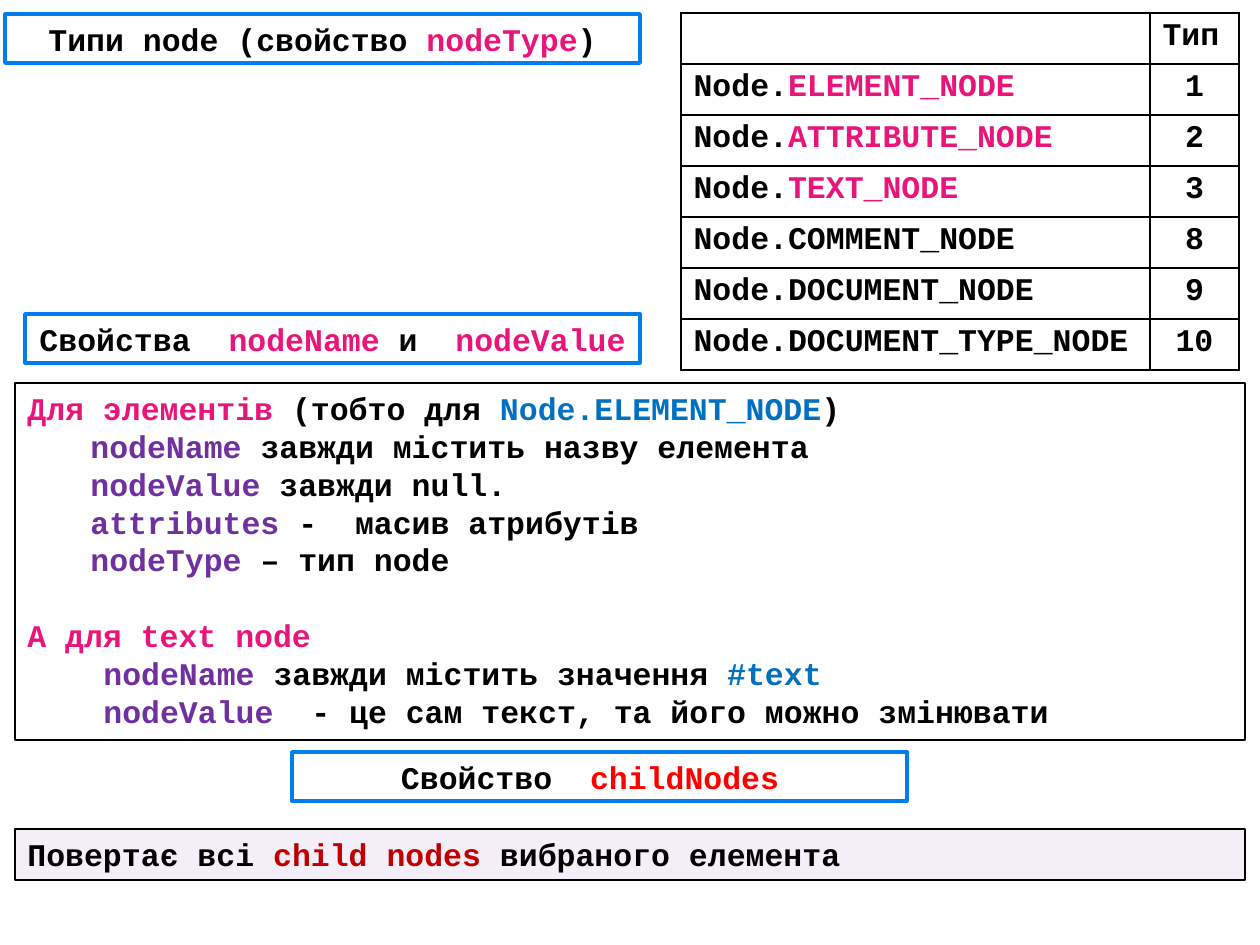
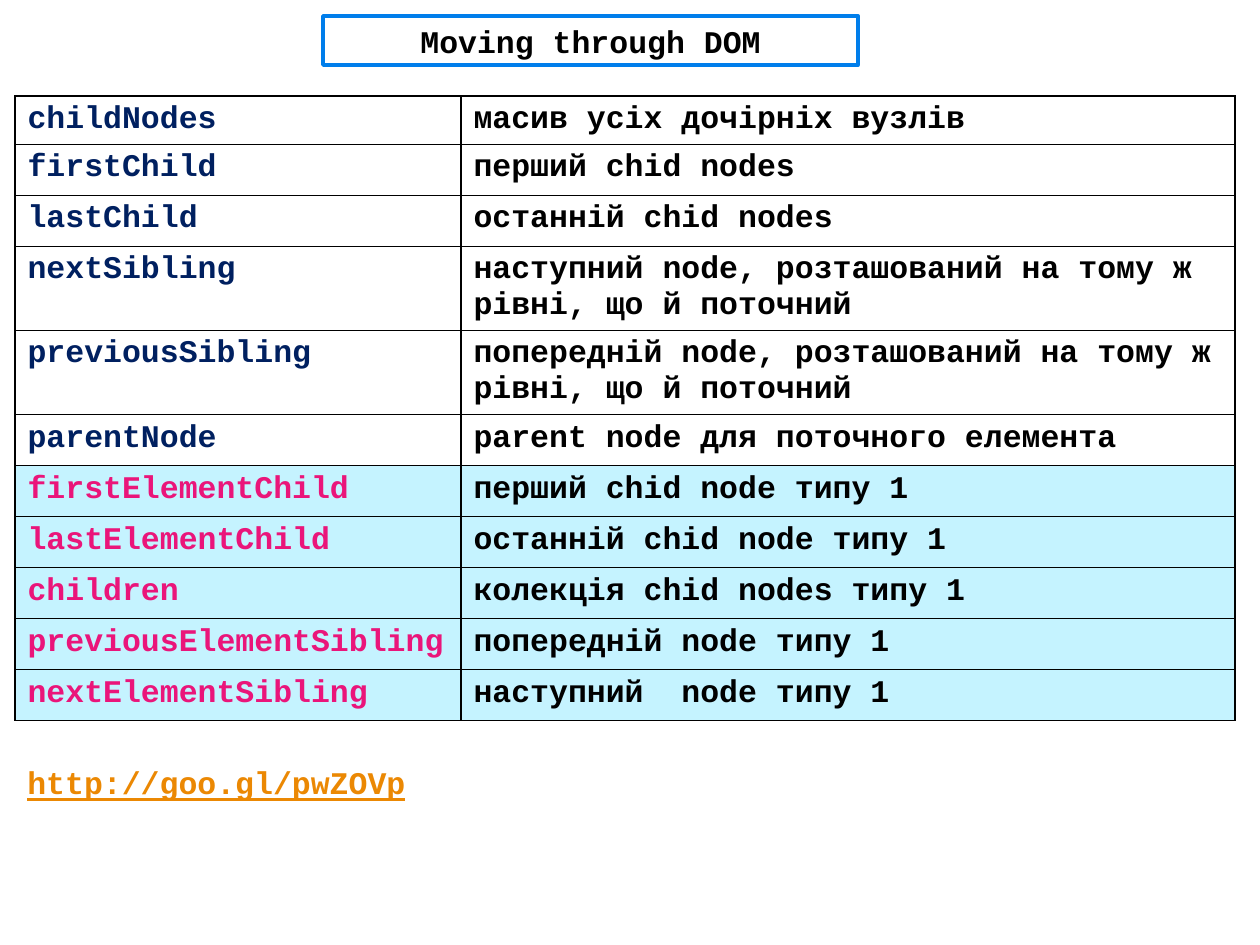
from lxml.etree import SubElement
from pptx import Presentation
from pptx.dml.color import RGBColor
from pptx.enum.shapes import MSO_SHAPE as Shape
from pptx.enum.text import MSO_ANCHOR as Anchor, MSO_AUTO_SIZE as AutoSize, PP_ALIGN as Align
from pptx.oxml import parse_xml
from pptx.oxml.ns import nsdecls, qn
from pptx.util import Emu, Pt

PX = 914400 // 126
FONT, FONT_SIZE, LINE_PITCH = "Courier New", Pt(18), Pt(21.6)

BLACK = RGBColor(0x00, 0x00, 0x00)
WHITE = RGBColor(0xFF, 0xFF, 0xFF)
PINK = RGBColor(0xEA, 0x15, 0x7A)
PURPLE = RGBColor(0x70, 0x30, 0xA0)
BLUE = RGBColor(0x00, 0x70, 0xC0)
FRAME_BLUE = RGBColor(0x00, 0x7E, 0xEB)
NAVY = RGBColor(0x00, 0x20, 0x60)
RED = RGBColor(0xFF, 0x00, 0x00)
DARK_RED = RGBColor(0xC0, 0x00, 0x00)
ORANGE = RGBColor(0xEB, 0x88, 0x03)
PALE_CYAN = RGBColor(0xC5, 0xF3, 0xFF)

# A line of text is a list of (text, colour) spans.
TYPES_TITLE = [("Типи node (свойство ", BLACK), ("nodeType", PINK), (")", BLACK)]
VALUES_HEADING = [("Свойства  ", BLACK), ("nodeName ", PINK), ("и ", BLACK), (" nodeValue", PINK)]
CHILDREN_HEADING = [("Свойство  ", BLACK), ("childNodes ", RED)]
CHILDREN_NOTE = [("Повертає всі ", BLACK), ("child nodes ", DARK_RED), ("вибраного елемента", BLACK)]
MOVING_TITLE = [("Moving through DOM", BLACK)]
SOURCE_LINK = [("http://goo.gl/pwZOVp", ORANGE)]

# (node type, number, colour)
NODE_TYPES = [
    ("ELEMENT_NODE", 1, PINK),
    ("ATTRIBUTE_NODE", 2, PINK),
    ("TEXT_NODE", 3, PINK),
    ("COMMENT_NODE", 8, BLACK),
    ("DOCUMENT_NODE", 9, BLACK),
    ("DOCUMENT_TYPE_NODE", 10, BLACK),
]

# (heading, indent of its items in px, items)
NODE_RULES = [
    ([("Для элементів ", PINK), ("(тобто для ", BLACK), ("Node.ELEMENT_NODE", BLUE), (")", BLACK)], 63, [
        [("nodeName ", PURPLE), ("завжди містить назву елемента", BLACK)],
        [("nodeValue ", PURPLE), ("завжди null.", BLACK)],
        [("attributes", PURPLE), (" -  масив атрибутів", BLACK)],
        [("nodeType ", PURPLE), ("– тип node", BLACK)],
    ]),
    ([("А для text node", PINK)], 76, [
        [("nodeName ", PURPLE), ("завжди містить значення ", BLACK), ("#text", BLUE)],
        [("nodeValue ", PURPLE), (" - це сам текcт, та його можно змінювати", BLACK)],
    ]),
]

NODE_LINKS = [
    ("childNodes", "масив усіх дочірніх вузлів"),
    ("firstChild", "перший chid nodes"),
    ("lastChild", "останній chid nodes"),
    ("nextSibling", "наступний node, розташований на тому ж рівні, що й поточний"),
    ("previousSibling", "попередній node, розташований на тому ж рівні, що й поточний"),
    ("parentNode", "parent node для поточного елемента"),
]
ELEMENT_LINKS = [
    ("firstElementChild", "перший chid node типу 1"),
    ("lastElementChild", "останній chid node типу 1"),
    ("children", "колекція chid nodes типу 1"),
    ("previousElementSibling", "попередній node типу 1"),
    ("nextElementSibling", "наступний  node типу 1"),
]

FIRST_ROW, ROW, TWO_LINE_ROW = 48, 51, 84


def px(*lengths):
    return [Emu(length * PX) for length in lengths]


def write(para, spans, align=Align.LEFT):
    para.alignment = align
    para.font.name, para.font.size, para.font.bold = FONT, FONT_SIZE, True
    for text, colour in spans:
        span = para.add_run()
        span.text = text
        span.font.color.rgb = colour


def write_line(box, spans, align=Align.LEFT):
    """Write one line into a box whose lines have the common pitch."""
    box.text_frame.word_wrap = True
    para = box.text_frame.paragraphs[0]
    para.line_spacing = LINE_PITCH
    write(para, spans, align)
    return para


def outline(box, colour, width):
    box.line.color.rgb = colour
    box.line.width = Pt(width)


def add_box(page, place):
    box = page.shapes.add_shape(Shape.RECTANGLE, *px(*place))
    box.shadow.inherit = False
    box.fill.background()
    outline(box, BLACK, 1.5)
    box.text_frame.vertical_anchor = Anchor.TOP
    return box


def style_heading(box, spans):
    box.fill.solid()
    box.fill.fore_color.rgb = WHITE
    outline(box, FRAME_BLUE, 2)
    box.text_frame.auto_size = AutoSize.NONE
    box.text_frame.vertical_anchor = Anchor.MIDDLE
    write_line(box, spans, Align.CENTER)


def add_titled_page(deck, place, spans):
    page = deck.slides.add_slide(deck.slide_layouts[5])
    title = page.shapes.title
    title.left, title.top, title.width, title.height = px(*place)
    style_heading(title, spans)
    return page


def border_cell(cell):
    properties = cell._tc.get_or_add_tcPr()
    for position, side in enumerate(("lnL", "lnR", "lnT", "lnB")):
        properties.insert(position, parse_xml(
            f'<a:{side} {nsdecls("a")} w="12700"><a:solidFill>'
            f'<a:srgbClr val="{BLACK}"/></a:solidFill></a:{side}>'))


def add_grid(page, left, top, widths, heights, rows):
    """Add a ruled table; each cell is (spans, alignment, fill or None)."""
    frame = page.shapes.add_table(len(rows), len(widths), *px(left, top, sum(widths), sum(heights)))
    table = frame.table
    table.first_row = table.horz_banding = False
    for column, width in zip(table.columns, px(*widths)):
        column.width = width
    for row, height, contents in zip(table.rows, px(*heights), rows):
        row.height = height
        for cell, (spans, align, fill) in zip(row.cells, contents):
            if fill is None:
                cell.fill.background()
            else:
                cell.fill.solid()
                cell.fill.fore_color.rgb = fill
            border_cell(cell)
            write(cell.text_frame.paragraphs[0], spans, align)


def add_node_rules(page):
    box = add_box(page, (15, 383, 1230, 357))
    frame = box.text_frame
    frame.word_wrap = True
    for number, (heading, indent, items) in enumerate(NODE_RULES):
        for margin, spans in [(0, heading)] + [(indent, item) for item in items]:
            first = number == 0 and margin == 0
            para = frame.paragraphs[0] if first else frame.add_paragraph()
            para.line_spacing = LINE_PITCH
            if number and margin == 0:
                para.space_before = LINE_PITCH
            properties = para._p.get_or_add_pPr()
            properties.set("marL", str(margin * PX))
            properties.set("indent", "0")
            write(para, spans)


def add_children_note(page):
    box = add_box(page, (15, 829, 1230, 51))
    box.fill.solid()
    box.fill.fore_color.rgb = PURPLE
    colour = box._element.spPr.find(qn("a:solidFill"))[0]
    SubElement(colour, qn("a:alpha")).set("val", "8000")
    write_line(box, CHILDREN_NOTE)


def build_types_page(deck):
    page = add_titled_page(deck, (5, 14, 635, 49), TYPES_TITLE)
    rows = [[([], Align.LEFT, None), ([("Тип", BLACK)], Align.LEFT, None)]]
    for name, number, colour in NODE_TYPES:
        rows.append([([("Node.", BLACK), (name, colour)], Align.LEFT, None),
                     ([(str(number), BLACK)], Align.CENTER, None)])
    add_grid(page, 681, 13, (469, 89), [ROW] * len(rows), rows)
    add_node_rules(page)
    add_children_note(page)
    for place, spans in [((292, 752, 615, 49), CHILDREN_HEADING), ((25, 314, 615, 49), VALUES_HEADING)]:
        style_heading(add_box(page, place), spans)


def build_moving_page(deck):
    page = add_titled_page(deck, (323, 16, 535, 49), MOVING_TITLE)
    rows = []
    for links, colour, fill in [(NODE_LINKS, NAVY, None), (ELEMENT_LINKS, PINK, PALE_CYAN)]:
        for name, meaning in links:
            rows.append([([(name, colour)], Align.LEFT, fill), ([(meaning, BLACK)], Align.LEFT, fill)])
    heights = [TWO_LINE_ROW if len(meaning) > 40 else ROW for _, meaning in NODE_LINKS + ELEMENT_LINKS]
    heights[0] = FIRST_ROW
    add_grid(page, 15, 96, (446, 774), heights, rows)
    box = page.shapes.add_textbox(*px(15, 757, 466, 51))
    write_line(box, SOURCE_LINK).runs[0].font.underline = True


def main():
    deck = Presentation()
    deck.slide_width, deck.slide_height = px(1260, 945)
    build_types_page(deck)
    build_moving_page(deck)
    deck.save("out.pptx")


if __name__ == "__main__":
    main()
